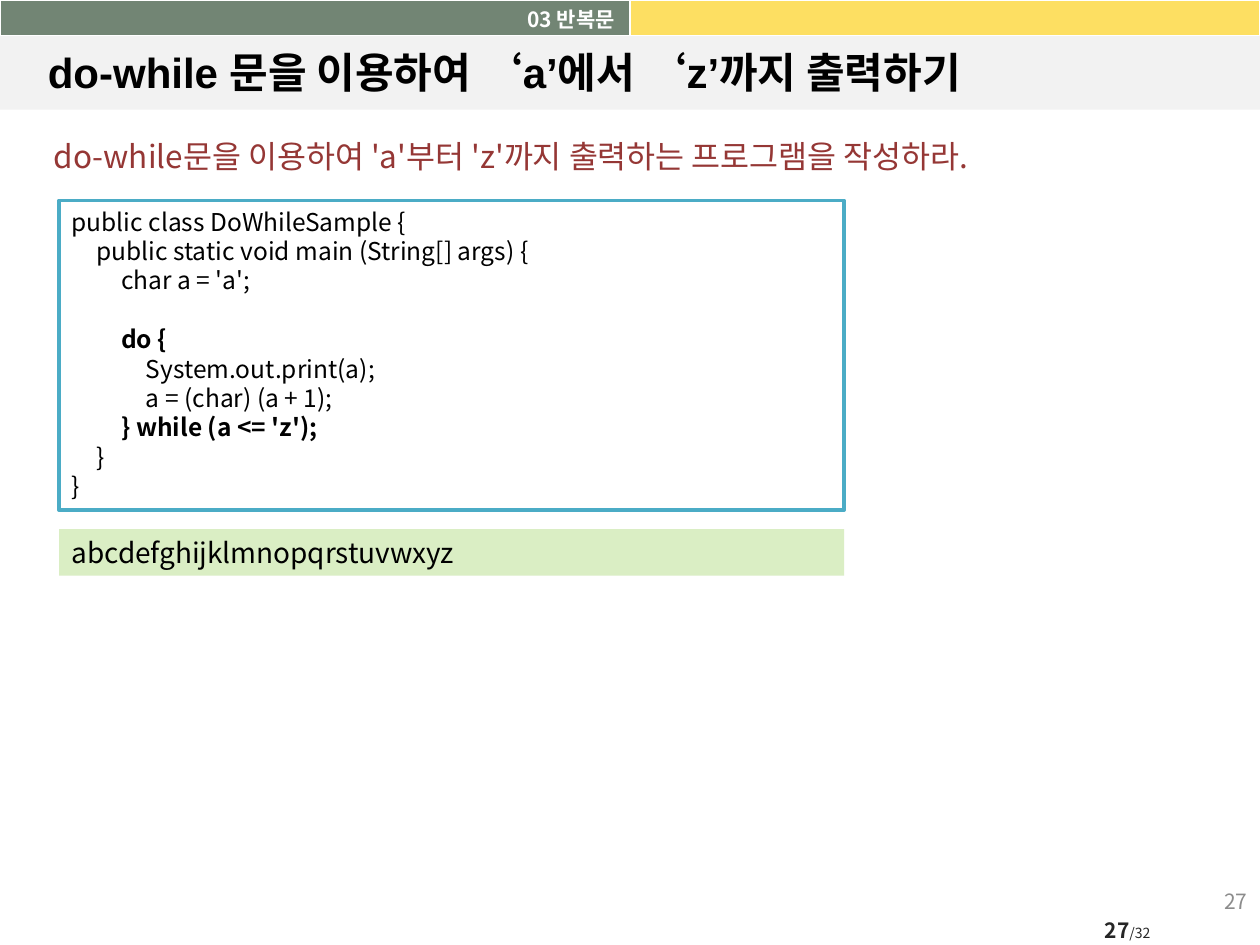
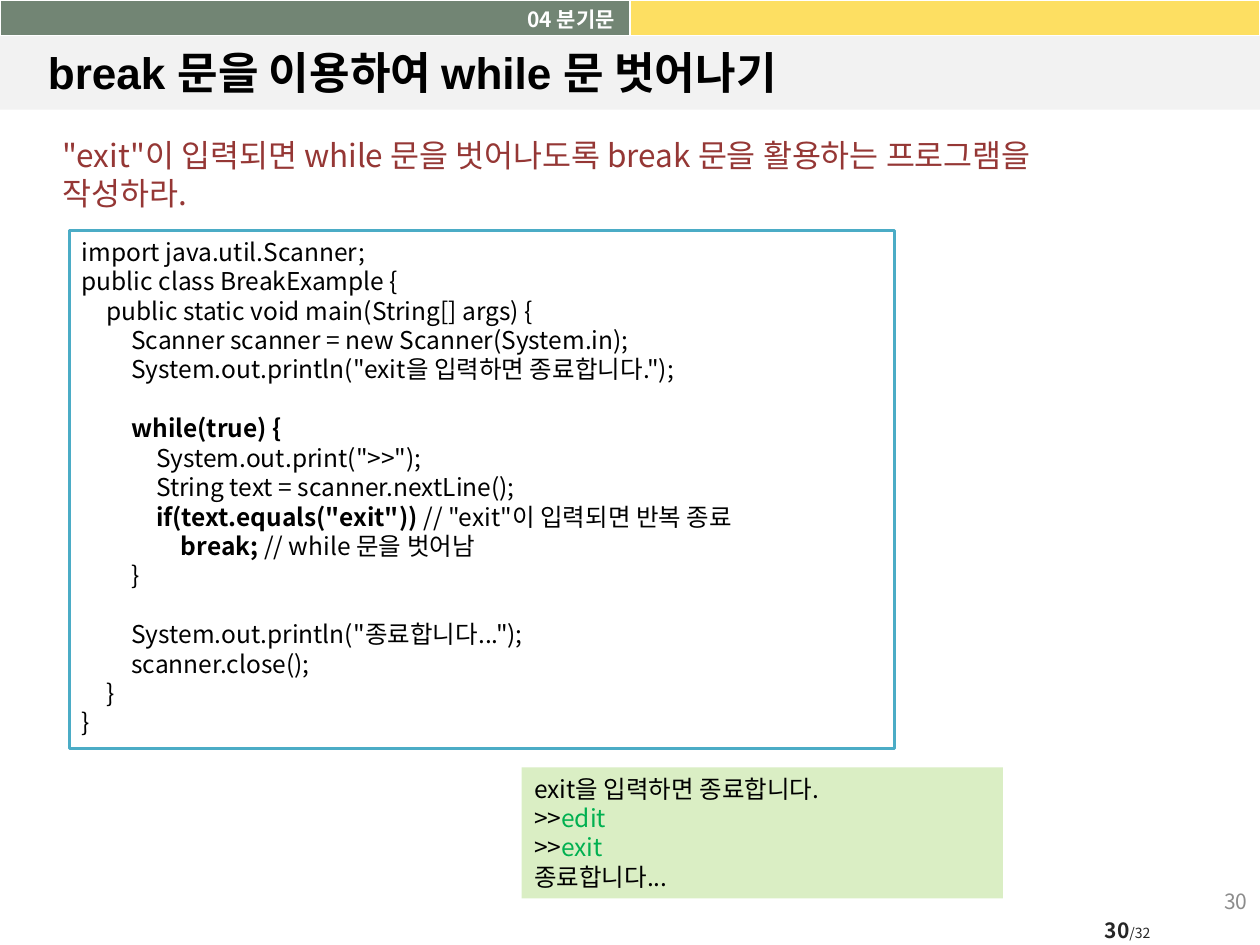
import pptx
import pptx.dml.color
import pptx.enum.shapes
import pptx.enum.text
import pptx.oxml.ns
import pptx.util
from lxml import etree

RGBColor = pptx.dml.color.RGBColor
ALIGN = pptx.enum.text.PP_ALIGN
ANCHOR = pptx.enum.text.MSO_ANCHOR

SAGE = RGBColor(0x72, 0x85, 0x74)
YELLOW = RGBColor(0xFD, 0xDF, 0x62)
PALE_GREY = RGBColor(0xF2, 0xF2, 0xF2)
WHITE = RGBColor(0xFF, 0xFF, 0xFF)
BLACK = RGBColor(0, 0, 0)
CHARCOAL = RGBColor(0x26, 0x26, 0x26)
GREY = RGBColor(0x8C, 0x8C, 0x8C)
TEAL = RGBColor(0x4B, 0xAC, 0xC6)
BRICK = RGBColor(0x95, 0x37, 0x35)
LIME = RGBColor(0xDA, 0xEE, 0xC4)
GREEN = RGBColor(0x00, 0xB0, 0x50)

BODY_FONT = "Noto Sans CJK KR"
TITLE_FONT = "Arial"
WIDTH, HEIGHT = pptx.util.Inches(10), pptx.util.Inches(7.5)
COLUMNS, ROWS = 100, 75
LINE_RATIO = 1.2
TAB_STEP = pptx.util.Cm(0.5)
TAB_COUNT = 4
PAGE_TOTAL = 32

DO_WHILE_CODE = [
    (0, "public class DoWhileSample {"),
    (1, "public static void main (String[] args) {"),
    (2, "char a = 'a';"),
    None,
    (2, ("do {", {"bold": True})),
    (3, "System.out.print(a);"),
    (3, "a = (char) (a + 1);"),
    (2, ("} while (a <= 'z');", {"bold": True})),
    (1, "}"),
    (0, "}"),
]

BREAK_CODE = [
    (0, "import java.util.Scanner;"),
    (0, "public class BreakExample {"),
    (1, "public static void main(String[] args) {"),
    (2, "Scanner scanner = new Scanner(System.in);"),
    (2, 'System.out.println("exit을 입력하면 종료합니다.");'),
    None,
    (2, ("while(true) {", {"bold": True})),
    (3, 'System.out.print(">>");'),
    (3, "String text = scanner.nextLine();"),
    (3, ('if(text.equals("exit")) ', {"bold": True}), '// "exit"이 입력되면 반복 종료'),
    (4, ("break; ", {"bold": True}), "// while 문을 벗어남"),
    (2, "}"),
    None,
    (2, 'System.out.println("종료합니다...");'),
    (2, "scanner.close();"),
    (1, "}"),
    (0, "}"),
]


def grid(left, top, width, height):
    """Turn grid columns and rows into slide lengths."""
    column, row = WIDTH / COLUMNS, HEIGHT / ROWS
    return [round(n * unit) for n, unit in
            zip((left, top, width, height), (column, row, column, row))]


def sub(parent, tag, **attributes):
    """Append a drawing element to a parent."""
    return etree.SubElement(parent, pptx.oxml.ns.qn(tag), attributes)


def add_run(paragraph, text, size, color=BLACK, bold=False, font=BODY_FONT):
    """Add one formatted run with Latin and Korean typefaces."""
    run = paragraph.add_run()
    run.text = text
    run.font.size = pptx.util.Pt(size)
    run.font.bold = bold
    run.font.color.rgb = color
    run.font.name = font
    sub(run.font._element, "a:ea", typeface=BODY_FONT)


def prepare(frame, anchor=ANCHOR.TOP, wrap=True):
    """Set the wrapping and anchoring of a text frame."""
    frame.word_wrap = wrap
    frame.auto_size = pptx.enum.text.MSO_AUTO_SIZE.NONE
    frame.vertical_anchor = anchor


def write_lines(frame, lines, size, color=BLACK, align=ALIGN.LEFT):
    """Write indented lines of runs, where None leaves a line free."""
    pitch = pptx.util.Pt(size * LINE_RATIO)
    gap, started = 0, False
    for line in lines:
        if line is None:
            gap += pitch
            continue
        depth, *pieces = line
        paragraph = frame.add_paragraph() if started else frame.paragraphs[0]
        started = True
        paragraph.alignment = align
        paragraph.line_spacing = pitch
        paragraph.space_before = gap
        gap = 0
        if depth:
            stops = sub(paragraph._p.get_or_add_pPr(), "a:tabLst")
            for stop in range(1, TAB_COUNT + 1):
                sub(stops, "a:tab", pos=str(stop * TAB_STEP), algn="l")
        for index, piece in enumerate(pieces):
            text, style = (piece, {}) if isinstance(piece, str) else piece
            indent = "\t" * depth if index == 0 else ""
            add_run(paragraph, indent + text, size, **{"color": color, **style})


def add_panel(slide, area, fill, lines=(), size=14, outline=None):
    """Add a filled rectangle that may hold lines of text."""
    panel = slide.shapes.add_shape(pptx.enum.shapes.MSO_SHAPE.RECTANGLE, *grid(*area))
    panel.shadow.inherit = False
    panel.fill.solid()
    panel.fill.fore_color.rgb = fill
    if outline is None:
        panel.line.fill.background()
    else:
        panel.line.color.rgb = outline
        panel.line.width = pptx.util.Pt(2)
    prepare(panel.text_frame)
    write_lines(panel.text_frame, lines, size)


def add_label(slide, area, anchor=ANCHOR.TOP, wrap=True):
    """Add an empty text box and return its frame."""
    frame = slide.shapes.add_textbox(*grid(*area)).text_frame
    prepare(frame, anchor, wrap)
    return frame


def add_task(slide, area, text):
    """Add the exercise statement."""
    write_lines(add_label(slide, area), [(0, text)], 18, BRICK)


def add_header_band(slide):
    """Add the two-coloured band along the top edge."""
    band = slide.shapes.add_table(1, 2, *grid(0, 0, 100, 2.8)).table
    for cell, fill in zip(band.rows[0].cells, (SAGE, YELLOW)):
        cell.fill.solid()
        cell.fill.fore_color.rgb = fill
        cell.margin_top = cell.margin_bottom = 0
        sub(cell.text_frame.paragraphs[0]._p, "a:endParaRPr", sz="800")


def place(slide, placeholder, area, anchor):
    """Move a placeholder in front of the bands and return its paragraph."""
    placeholder.left, placeholder.top, placeholder.width, placeholder.height = grid(*area)
    slide.shapes._spTree.append(placeholder._element)
    prepare(placeholder.text_frame, anchor)
    return placeholder.text_frame.paragraphs[0]


def add_page_numbers(slide, page):
    """Add the page count and the slide number."""
    count = add_label(slide, (84.7, 72.5, 9.6, 2.6), ANCHOR.MIDDLE, False)
    count.margin_left = count.margin_right = 0
    write_lines(count, [(0, (str(page), {"bold": True}))], 12, CHARCOAL, ALIGN.CENTER)
    add_run(count.paragraphs[0], f"/{PAGE_TOTAL}", 8, CHARCOAL)
    number = add_label(slide, (76.7, 69.5, 23.3, 4), ANCHOR.MIDDLE)
    write_lines(number, [(0, str(page))], 12, GREY, ALIGN.RIGHT)


def add_lesson(deck, page, chapter, heading, heading_size):
    """Add a slide with its bands, heading, chapter and page numbers."""
    slide = deck.slides.add_slide(deck.slide_layouts[1])
    title, tag = slide.shapes.title, slide.placeholders[1]
    add_panel(slide, (0, 2.8, 100, 5.9), PALE_GREY)
    add_header_band(slide)
    heading_line = place(slide, title, (2.8, 2.9, 94.5, 5.6), ANCHOR.MIDDLE)
    heading_line.alignment = ALIGN.LEFT
    add_run(heading_line, heading, heading_size, bold=True, font=TITLE_FONT)
    tag_line = place(slide, tag, (0, 0, 49.8, 2.8), ANCHOR.TOP)
    properties = tag_line._p.get_or_add_pPr()
    properties.set("marL", "0")
    properties.set("indent", "0")
    sub(properties, "a:buNone")
    write_lines(tag.text_frame, [(0, (chapter, {"bold": True}))], 12, WHITE, ALIGN.RIGHT)
    add_page_numbers(slide, page)
    return slide


def main():
    """Build both lessons and save the deck."""
    deck = pptx.Presentation()
    deck.slide_width, deck.slide_height = WIDTH, HEIGHT

    lesson = add_lesson(deck, 27, "03 반복문",
                        "do-while 문을 이용하여 ‘a’에서 ‘z’까지 출력하기", 24)
    add_panel(lesson, (4.7, 15.9, 62.3, 24.6), WHITE, DO_WHILE_CODE, outline=TEAL)
    add_task(lesson, (3.3, 10.4, 85.5, 4),
             "do-while문을 이용하여 'a'부터 'z'까지 출력하는 프로그램을 작성하라.")
    add_panel(lesson, (4.7, 42, 62.3, 3.7), LIME,
              [(0, "abcdefghijklmnopqrstuvwxyz")], 16)

    lesson = add_lesson(deck, 30, "04 분기문",
                        "break 문을 이용하여 while 문 벗어나기", 25.2)
    add_task(lesson, (4, 10.3, 85.5, 7.1),
             '"exit"이 입력되면 while 문을 벗어나도록 break 문을 활용하는 프로그램을 작성하라.')
    add_panel(lesson, (5.5, 18.3, 65.5, 41.1), WHITE, BREAK_CODE, outline=TEAL)
    add_panel(lesson, (41.4, 60.9, 38.2, 10.4), LIME, [
        (0, "exit을 입력하면 종료합니다."),
        (0, ">>", ("edit", {"color": GREEN})),
        (0, ">>", ("exit", {"color": GREEN})),
        (0, "종료합니다..."),
    ])
    deck.save("out.pptx")


if __name__ == "__main__":
    main()
